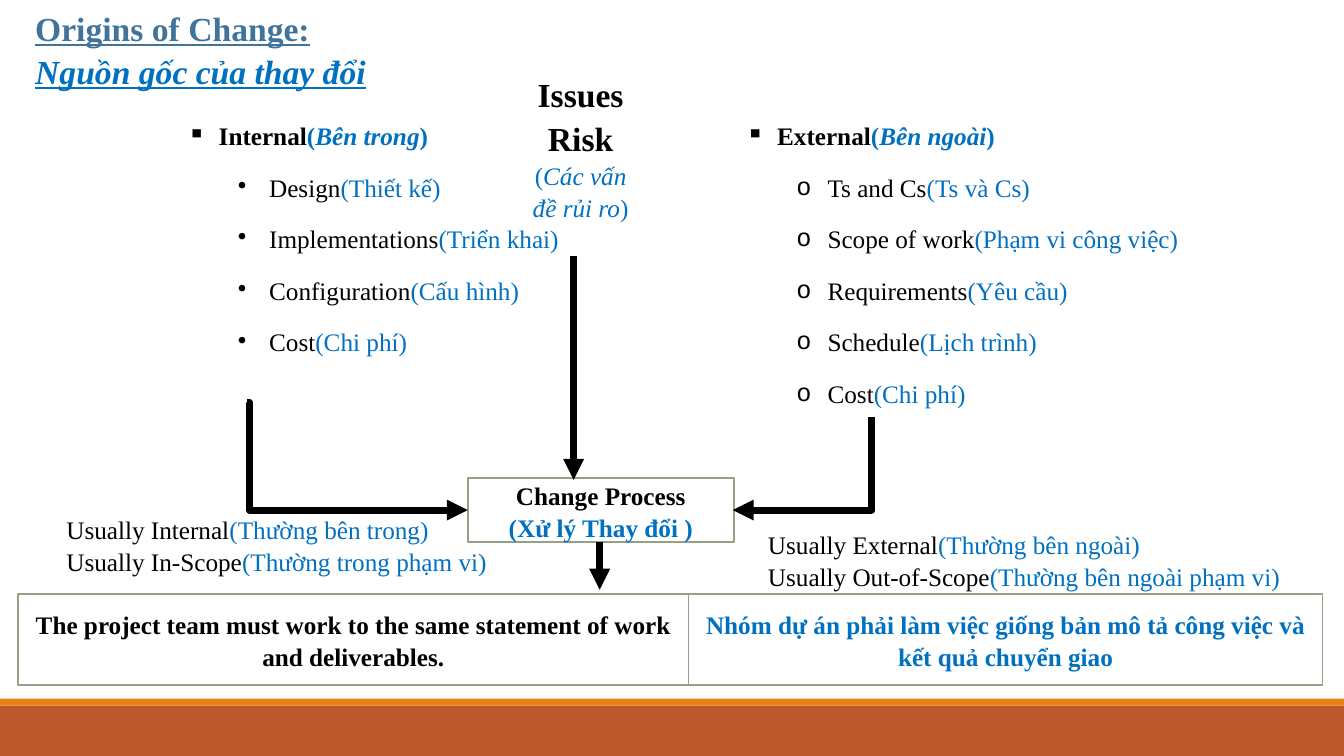
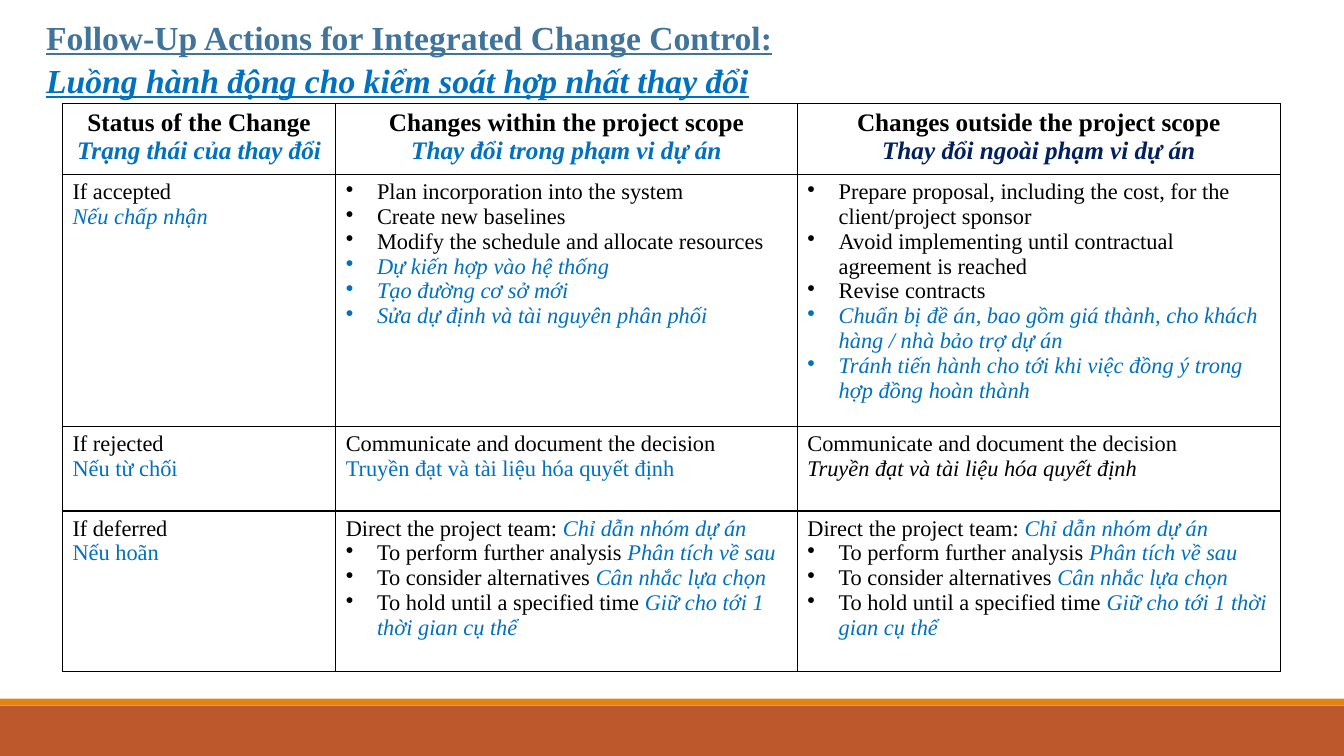
from dataclasses import dataclass, replace

from pptx import Presentation
from pptx.dml.color import RGBColor
from pptx.enum.shapes import MSO_CONNECTOR, MSO_SHAPE
from pptx.enum.text import MSO_ANCHOR, PP_ALIGN
from pptx.oxml.ns import qn
from pptx.util import Emu, Inches, Pt
from lxml import etree

RECTANGLE = MSO_SHAPE.RECTANGLE
STRAIGHT, ELBOW = MSO_CONNECTOR.STRAIGHT, MSO_CONNECTOR.ELBOW
LEFT, CENTER = PP_ALIGN.LEFT, PP_ALIGN.CENTER
TOP, MIDDLE = MSO_ANCHOR.TOP, MSO_ANCHOR.MIDDLE

FONT = "Times New Roman"
BLACK, WHITE = "000000", "FFFFFF"
BLUE, NAVY, TITLE_BLUE = "0070C0", "002060", "40749B"
RUST, ORANGE, SAGE = "BD582C", "E48312", "94A088"

SLIDE_WIDTH, SLIDE_HEIGHT = Inches(13.33), Inches(7.5)
LOOSE = 1.07  # line spacing outside tables
BULLET_INDENT, LEVEL_INDENT = 0.31, 0.81


@dataclass(frozen=True)
class Area:
    """Left, top, width and height in percent of the slide."""
    left: float
    top: float
    width: float
    height: float


@dataclass(frozen=True)
class Span:
    text: str
    color: str = BLACK
    italic: bool = False


@dataclass(frozen=True)
class Para:
    spans: tuple[Span, ...]
    size: int = 18
    bold: bool = False
    underline: bool = False
    align: PP_ALIGN = LEFT
    bullet: str = ""
    indent: float = BULLET_INDENT


@dataclass(frozen=True)
class Arrow:
    """Start and end in percent of the slide; bend is the share before the elbow."""
    start: tuple[float, float]
    end: tuple[float, float]
    bend: float | None = None


def across(percent: float) -> Emu:
    return Emu(round(SLIDE_WIDTH * percent / 100))


def down(percent: float) -> Emu:
    return Emu(round(SLIDE_HEIGHT * percent / 100))


def place(area: Area) -> tuple[Emu, Emu, Emu, Emu]:
    return across(area.left), down(area.top), across(area.width), down(area.height)


def rgb(color: str) -> RGBColor:
    return RGBColor.from_string(color)


def add_child(parent, tag: str, **attributes: str):
    return etree.SubElement(parent, qn(tag), attributes)


def english(text: str, **style) -> Para:
    return Para((Span(text),), **style)


def vietnamese(text: str, italic: bool = False, color: str = BLUE, **style) -> Para:
    return Para((Span(text, color, italic),), **style)


def bilingual(text: str, translation: str, italic: bool = False, **style) -> Para:
    return Para((Span(text), Span(translation, BLUE, italic)), **style)


def add_bullet(para, bullet: str, indent: float) -> None:
    properties = para._p.get_or_add_pPr()
    properties.set("marL", str(Inches(indent)))
    properties.set("indent", str(-Inches(BULLET_INDENT)))
    if bullet == "o":
        add_child(properties, "a:buFont", typeface="Courier New")
    add_child(properties, "a:buChar", char=bullet)


def write(frame, paras: list[Para], spacing: float = 1.0) -> None:
    frame.word_wrap = True
    for index, content in enumerate(paras):
        para = frame.paragraphs[0] if index == 0 else frame.add_paragraph()
        para.alignment = content.align
        para.line_spacing = spacing
        if content.bullet:
            add_bullet(para, content.bullet, content.indent)
        for span in content.spans:
            run = para.add_run()
            run.text = span.text
            font = run.font
            font.name, font.size = FONT, Pt(content.size)
            font.bold, font.italic = content.bold, span.italic
            font.underline = content.underline
            font.color.rgb = rgb(span.color)


def add_rectangle(page, area: Area, fill: str, line: str = ""):
    box = page.shapes.add_shape(RECTANGLE, *place(area))
    box.shadow.inherit = False
    box.fill.solid()
    box.fill.fore_color.rgb = rgb(fill)
    if line:
        box.line.color.rgb = rgb(line)
        box.line.width = Pt(1.25)
    else:
        box.line.fill.background()
    return box


def add_outlined_text(page, area: Area, paras: list[Para]) -> None:
    frame = add_rectangle(page, area, WHITE, SAGE).text_frame
    frame.vertical_anchor = MIDDLE
    write(frame, [replace(para, bold=True, align=CENTER) for para in paras], LOOSE)


def add_text(page, area: Area, paras: list[Para]) -> None:
    frame = page.shapes.add_textbox(*place(area)).text_frame
    frame.vertical_anchor = TOP
    write(frame, paras, LOOSE)


def add_arrow(page, arrow: Arrow) -> None:
    kind = STRAIGHT if arrow.bend is None else ELBOW
    (x1, y1), (x2, y2) = arrow.start, arrow.end
    connector = page.shapes.add_connector(kind, across(x1), down(y1), across(x2), down(y2))
    connector.line.color.rgb = rgb(BLACK)
    connector.line.width = Pt(5)
    add_child(connector.line._get_or_add_ln(), "a:tailEnd", type="triangle")
    properties = connector._element.spPr
    add_child(properties, "a:effectLst")
    if arrow.bend is not None:
        guides = properties.find(qn("a:prstGeom")).get_or_add_avLst()
        add_child(guides, "a:gd", name="adj1", fmla=f"val {round(arrow.bend * 100000)}")


def add_borders(cell) -> None:
    properties = cell._tc.get_or_add_tcPr()
    for side in ("a:lnL", "a:lnR", "a:lnT", "a:lnB"):
        line = add_child(properties, side, w=str(Pt(1)))
        add_child(add_child(line, "a:solidFill"), "a:srgbClr", val=BLACK)


def add_grid(page, left: float, top: float, columns: list[float], rows: list[float],
             cells: list[list[list[Para]]], bordered: bool) -> None:
    area = Area(left, top, sum(columns), sum(rows))
    table = page.shapes.add_table(len(rows), len(columns), *place(area)).table
    table.first_row = table.horz_banding = False
    for column, width in zip(table.columns, columns):
        column.width = across(width)
    for row, height, contents in zip(table.rows, rows, cells):
        row.height = down(height)
        for cell, paras in zip(row.cells, contents):
            if bordered:
                add_borders(cell)
            cell.fill.background()
            write(cell.text_frame, paras)


def add_page(deck, title_area: Area, title: str, translation: str):
    """Add a blank page with the shared bands and two-language title."""
    page = deck.slides.add_slide(deck.slide_layouts[6])
    add_rectangle(page, Area(0, 93.33, 100, 6.67), RUST)
    add_rectangle(page, Area(0, 92.4, 100, 0.93), ORANGE)
    style = {"size": 24, "bold": True, "underline": True}
    add_text(page, title_area, [Para((Span(title, TITLE_BLUE),), **style),
                                vietnamese(translation, True, **style)])
    return page


def origin_column(heading: str, translation: str, bullet: str,
                  items: list[tuple[str, str]]) -> list[list[Para]]:
    spans = (Span(heading), Span("(", BLUE), Span(translation, BLUE, True), Span(")", BLUE))
    return [[Para(spans, bold=True, bullet="▪")]] + [
        [bilingual(text, f"({meaning})", bullet=bullet, indent=LEVEL_INDENT)]
        for text, meaning in items]


def build_origins(deck) -> None:
    page = add_page(deck, Area(1.88, 0, 52.73, 17.47),
                    "Origins of Change:", "Nguồn gốc của thay đổi")
    internal = origin_column("Internal", "Bên trong", "•", [
        ("Design", "Thiết kế"), ("Implementations", "Triển khai"),
        ("Configuration", "Cấu hình"), ("Cost", "Chi phí")])
    external = origin_column("External", "Bên ngoài", "o", [
        ("Ts and Cs", "Ts và Cs"), ("Scope of work", "Phạm vi công việc"),
        ("Requirements", "Yêu cầu"), ("Schedule", "Lịch trình"), ("Cost", "Chi phí")])
    internal.append([])
    rows = [list(pair) for pair in zip(internal, external)]
    add_grid(page, 13.2, 15.6, [41.55] * 2, [6.82] * len(rows), rows, bordered=False)

    risk = (Span("(", BLUE), Span("Các vấn đề rủi ro", BLUE, True), Span(")", BLUE))
    add_text(page, Area(38.85, 8.8, 8.7, 25.6), [
        english("Issues", size=24, bold=True, align=CENTER),
        english("Risk", size=24, bold=True, align=CENTER),
        Para(risk, align=CENTER)])

    add_outlined_text(page, Area(34.8, 63.2, 19.8, 8.53), [
        english("Change Process"), vietnamese("(Xử lý Thay đổi )")])
    add_outlined_text(page, Area(1.35, 78.53, 49.88, 12.13), [english(
        "The project team must work to the same statement of work and deliverables.")])
    add_outlined_text(page, Area(51.23, 78.53, 47.18, 12.13), [vietnamese(
        "Nhóm dự án phải làm việc giống bản mô tả công việc và kết quả chuyển giao")])

    for arrow in (Arrow((42.68, 33.87), (42.68, 63.47)),
                  Arrow((44.62, 71.73), (44.62, 78)),
                  Arrow((18.4, 53.2), (34.8, 67.47), bend=0.01),
                  Arrow((64.88, 55.2), (54.52, 67.47), bend=0)):
        add_arrow(page, arrow)

    add_text(page, Area(4.2, 67.07, 33.75, 9.47), [
        bilingual("Usually Internal", "(Thường bên trong)"),
        bilingual("Usually In-Scope", "(Thường trong phạm vi)")])
    add_text(page, Area(56.4, 69.07, 40.5, 9.47), [
        bilingual("Usually External", "(Thường bên ngoài)"),
        bilingual("Usually Out-of-Scope", "(Thường bên ngoài phạm vi)")])


def header(text: str, translation: str, color: str = BLUE) -> list[Para]:
    style = {"bold": True, "align": CENTER}
    return [english(text, **style), vietnamese(translation, True, color, **style)]


def entry(text: str, translation: str, italic: bool = False, color: str = BLUE) -> list[Para]:
    return [english(text, size=16), vietnamese(translation, italic, color, size=16)]


def bullets(texts: list[str], translations: list[str]) -> list[Para]:
    style = {"size": 16, "bullet": "•"}
    return ([english(text, **style) for text in texts]
            + [vietnamese(text, True, **style) for text in translations])


def build_follow_up(deck) -> None:
    page = add_page(deck, Area(2.7, 1.2, 68.7, 17.47),
                    "Follow-Up Actions for Integrated Change Control:",
                    "Luồng hành động cho kiểm soát hợp nhất thay đổi")
    decision = ("Communicate and document the decision",
                "Truyền đạt và tài liệu hóa quyết định")
    deferred = [bilingual("Direct the project team: ", "Chỉ dẫn nhóm dự án", True, size=16)]
    deferred += [bilingual(text, meaning, True, size=16, bullet="•") for text, meaning in (
        ("To perform further analysis ", "Phân tích về sau"),
        ("To consider alternatives ", "Cân nhắc lựa chọn"),
        ("To hold until a specified time ", "Giữ cho tới 1 thời gian cụ thể"))]
    within = bullets(
        ["Plan incorporation into the system", "Create new baselines",
         "Modify the schedule and allocate resources"],
        ["Dự kiến hợp vào hệ thống", "Tạo đường cơ sở mới",
         "Sửa dự định và tài nguyên phân phối"])
    outside = bullets(
        ["Prepare proposal, including the cost, for the client/project sponsor",
         "Avoid implementing until contractual agreement is reached", "Revise contracts"],
        ["Chuẩn bị đề án, bao gồm giá thành, cho khách hàng / nhà bảo trợ dự án",
         "Tránh tiến hành cho tới khi việc đồng ý trong hợp đồng hoàn thành"])
    cells = [
        [header("Status of the Change", "Trạng thái của thay đổi"),
         header("Changes within the project scope", "Thay đổi trong phạm vi dự án"),
         header("Changes outside the project scope", "Thay đổi ngoài phạm vi dự án", NAVY)],
        [entry("If accepted", "Nếu chấp nhận", True), within, outside],
        [entry("If rejected", "Nếu từ chối"), entry(*decision),
         entry(*decision, italic=True, color=BLACK)],
        [entry("If deferred", "Nếu hoãn"), deferred, deferred]]
    add_grid(page, 4.65, 13.73, [20.33, 34.35, 35.93], [8.67, 31.2, 11.2, 21.2],
             cells, bordered=True)


def main() -> None:
    deck = Presentation()
    deck.slide_width, deck.slide_height = SLIDE_WIDTH, SLIDE_HEIGHT
    build_origins(deck)
    build_follow_up(deck)
    deck.save("out.pptx")


if __name__ == "__main__":
    main()
